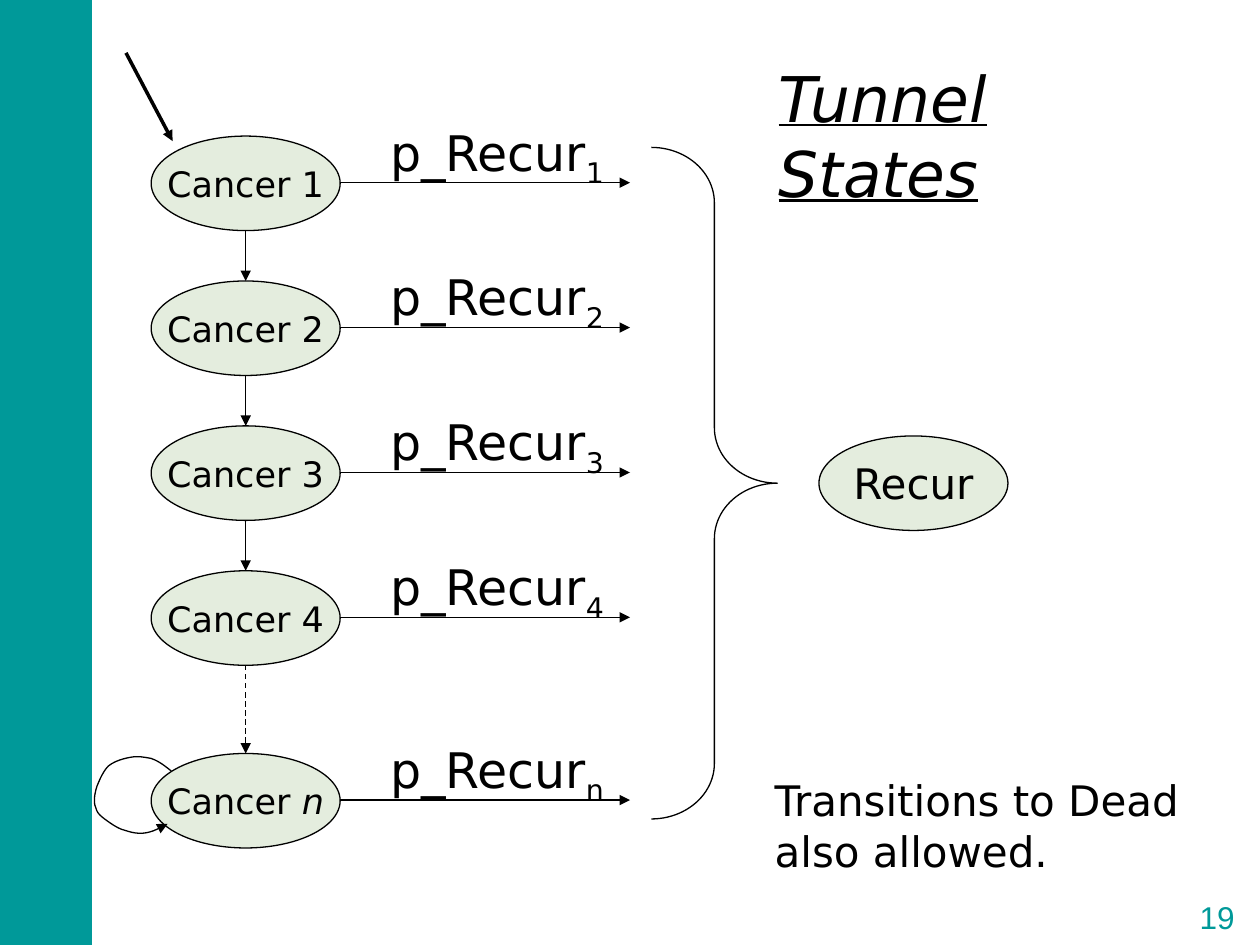
from dataclasses import dataclass
from itertools import pairwise

from lxml import etree
from pptx import Presentation
from pptx.dml.color import RGBColor
from pptx.enum import dml, shapes, text
from pptx.oxml import ns
from pptx.util import Inches, Pt

TEAL = RGBColor(0x00, 0x99, 0x99)
GREEN = RGBColor(0x4B, 0x88, 0x28)
BLACK = RGBColor(0, 0, 0)
WHITE = RGBColor(0xFF, 0xFF, 0xFF)
FONT = "DejaVu Sans"
STATE_W, STATE_H = 1.5, 0.75
STATE_LEFT = 1.2
STATE_CENTER = STATE_LEFT + STATE_W / 2


@dataclass
class State:
    index: str
    top: float
    italic: bool = False


@dataclass
class Run:
    text: str
    italic: bool = False
    subscript: bool = False


STATES = [State(str(i + 1), 1.08 + 1.15 * i) for i in range(4)]
STATES.append(State("n", 5.98, italic=True))

# Cubic curve of the self-transition: start, then two controls and an end each
LOOP = [
    (1.36, 6.12),
    (1.31, 6.08), (1.26, 6.04), (1.2, 6.02),
    (1.15, 6.01), (1.09, 6), (1.04, 6.01),
    (0.98, 6.02), (0.91, 6.04), (0.86, 6.08),
    (0.82, 6.12), (0.79, 6.19), (0.77, 6.24),
    (0.75, 6.3), (0.74, 6.37), (0.76, 6.41),
    (0.77, 6.45), (0.79, 6.47), (0.83, 6.5),
    (0.87, 6.53), (0.94, 6.58), (0.99, 6.59),
    (1.05, 6.61), (1.1, 6.62), (1.16, 6.61),
    (1.22, 6.6), (1.27, 6.57), (1.33, 6.54),
]


def write(shape, runs: list[Run], size: float, font: str = FONT,
          color: RGBColor = BLACK, align=text.PP_ALIGN.LEFT,
          anchor=text.MSO_ANCHOR.TOP, wrap: bool = False,
          underline: bool = False, inset: tuple = (0.1, 0.05)) -> None:
    frame = shape.text_frame
    frame.word_wrap = wrap
    frame.auto_size = text.MSO_AUTO_SIZE.NONE
    frame.vertical_anchor = anchor
    frame.margin_left = frame.margin_right = Inches(inset[0])
    frame.margin_top = frame.margin_bottom = Inches(inset[1])
    paragraph = frame.paragraphs[0]
    paragraph.alignment = align
    for part in runs:
        run = paragraph.add_run()
        run.text = part.text
        run.font.name, run.font.size = font, Pt(size)
        run.font.color.rgb = color
        run.font.bold = False
        run.font.italic = part.italic
        run.font.underline = underline
        if part.subscript:
            run.font._element.set("baseline", "-25000")


def outline(shape, width: float = 0.75, color: RGBColor = BLACK) -> None:
    shape.line.color.rgb = color
    shape.line.width = Pt(width)


def add_arrowhead(shape) -> None:
    line = shape.line._get_or_add_ln()
    etree.SubElement(line, ns.qn("a:tailEnd"), type="triangle")


def add_shape(slide, kind, left: float, top: float, width: float, height: float):
    shape = slide.shapes.add_shape(
        kind, Inches(left), Inches(top), Inches(width), Inches(height))
    shape.shadow.inherit = False
    shape.fill.background()
    return shape


def add_label(slide, left: float, top: float, width: float, height: float,
              runs: list[Run], size: float, **style) -> None:
    box = slide.shapes.add_textbox(
        Inches(left), Inches(top), Inches(width), Inches(height))
    write(box, runs, size, **style)


def add_state(slide, left: float, top: float, runs: list[Run], size: float):
    oval = add_shape(slide, shapes.MSO_SHAPE.OVAL, left, top, STATE_W, STATE_H)
    oval.fill.solid()
    oval.fill.fore_color.rgb = GREEN
    srgb = oval._element.spPr.find(".//" + ns.qn("a:srgbClr"))
    etree.SubElement(srgb, ns.qn("a:alpha"), val="15000")
    outline(oval)
    write(oval, runs, size, align=text.PP_ALIGN.CENTER,
          anchor=text.MSO_ANCHOR.MIDDLE)
    return oval


def add_arrow(slide, start: tuple, end: tuple, width: float = 0.75,
              dashed: bool = False):
    arrow = slide.shapes.add_connector(
        shapes.MSO_CONNECTOR.STRAIGHT, *map(Inches, start + end))
    outline(arrow, width)
    if dashed:
        arrow.line.dash_style = dml.MSO_LINE.DASH
    add_arrowhead(arrow)
    etree.SubElement(arrow._element.spPr, ns.qn("a:effectLst"))
    return arrow


def curve_points(nodes: list[tuple], steps: int = 6) -> list[tuple]:
    points = []
    for i in range(0, len(nodes) - 1, 3):
        for step in range(1, steps + 1):
            t = step / steps
            weights = ((1 - t) ** 3, 3 * t * (1 - t) ** 2,
                       3 * t * t * (1 - t), t ** 3)
            points.append(tuple(
                Inches(sum(w * node[axis] for w, node in zip(weights, nodes[i:i + 4])))
                for axis in (0, 1)))
    return points


def add_loop(slide) -> None:
    builder = slide.shapes.build_freeform(*map(Inches, LOOP[0]))
    builder.add_line_segments(curve_points(LOOP), close=False)
    loop = builder.convert_to_shape()
    loop.shadow.inherit = False
    loop.fill.background()
    outline(loop)
    add_arrowhead(loop)


def main() -> None:
    prs = Presentation()
    prs.slide_width, prs.slide_height = Inches(10), Inches(7.5)
    slide = prs.slides.add_slide(prs.slide_layouts[5])

    # Side band
    band = add_shape(slide, shapes.MSO_SHAPE.RECTANGLE, -0.02, 0, 0.75, 7.5)
    band.fill.solid()
    band.fill.fore_color.rgb = TEAL
    band.line.fill.background()

    # Title
    title = slide.shapes.title
    title.left, title.top = Inches(6.08), Inches(0.42)
    title.width, title.height = Inches(3.28), Inches(0.71)
    write(title, [Run("Tunnel States", italic=True)], 36, wrap=True, underline=True)

    # Cancer states, each with its recurrence transition
    ovals = []
    for state in STATES:
        ovals.append(add_state(slide, STATE_LEFT, state.top, [
            Run("Cancer "), Run(state.index, italic=state.italic)], 20))
        middle = state.top + 0.37
        add_arrow(slide, (STATE_LEFT + STATE_W, middle), (5, middle))
        add_label(slide, 3, state.top - 0.16, 1.98, 0.57, [
            Run("p_Recur"), Run(state.index, subscript=True)], 28)

    # Steps down the tunnel
    for (state, following), oval in zip(pairwise(STATES), ovals[1:]):
        step = add_arrow(slide, (STATE_CENTER, state.top + STATE_H),
                         (STATE_CENTER, following.top),
                         dashed=following is STATES[-1])
        step.end_connect(oval, 0)

    # Entry arrow and self-transition of the last state
    add_arrow(slide, (1, 0.42), (1.37, 1.12), width=2)
    add_loop(slide)

    # All recurrences lead to one state
    brace = add_shape(slide, shapes.MSO_SHAPE.RIGHT_BRACE, 5.17, 1.17, 1, 5.33)
    brace.adjustments[0] = 0.44
    brace.adjustments[1] = 0.5
    outline(brace)
    add_state(slide, 6.5, 3.46, [Run("Recur")], 24)

    # Remark and slide number
    add_label(slide, 6.05, 6.1, 3.55, 0.91,
              [Run("Transitions to Dead also allowed.")], 24, wrap=True)
    number = add_shape(slide, shapes.MSO_SHAPE.DOUBLE_BRACKET, 9.36, 7.06, 0.6, 0.43)
    outline(number, 1.5, WHITE)
    write(number, [Run("19")], 18, font="Arial", color=TEAL, wrap=True,
          align=text.PP_ALIGN.CENTER, anchor=text.MSO_ANCHOR.MIDDLE, inset=(0, 0))

    prs.save("out.pptx")


if __name__ == "__main__":
    main()
